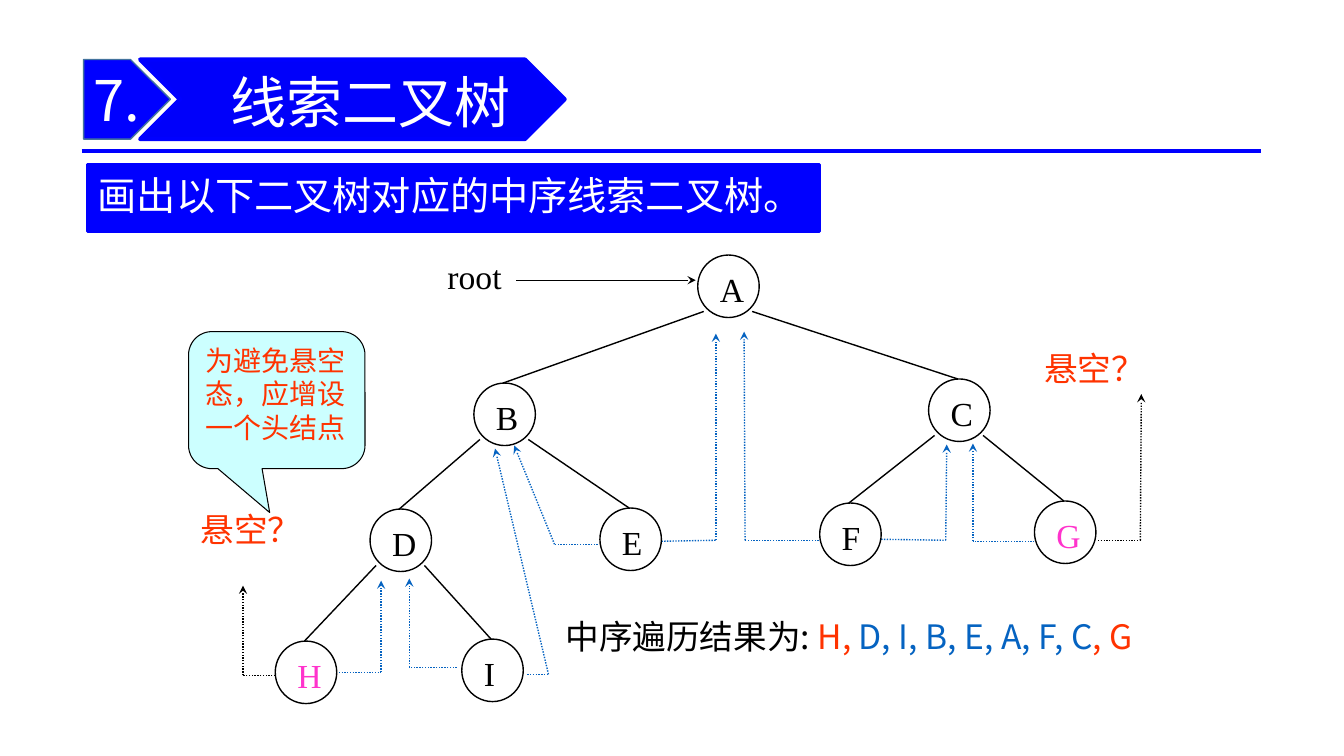
from lxml import etree
from pptx import Presentation
from pptx import util as u
from pptx.dml.color import RGBColor
from pptx.enum import dml, shapes, text
from pptx.oxml import ns

PX = 9144
SANS = "Noto Sans CJK SC"
SERIF = "Times New Roman"
BLUE, BLACK, WHITE = "0000FF", "000000", "FFFFFF"
RED, PINK, THREAD = "FF3300", "FF33CC", "0563C1"
NODE_W, NODE_H = 61, 62
NODES = {
    "A": (492, 53, BLACK), "B": (270, 180, BLACK), "C": (721, 176, BLACK),
    "D": (167, 305, BLACK), "E": (395, 304, BLACK), "F": (613, 299, BLACK),
    "G": (826, 297, PINK), "H": (73, 436, PINK), "I": (258, 434, BLACK),
}
EDGES = ["AB", "AC", "BD", "BE", "CF", "CG", "DH", "DI"]
THREADS = [
    (THREAD, (323, 469), (344, 469), (291, 245)),
    (THREAD, (393, 340), (350, 340), (310, 242)),
    (THREAD, (253, 462), (206, 462), (206, 374)),
    (THREAD, (136, 467), (178, 467), (178, 376)),
    (THREAD, (612, 336), (539, 336), (538, 129)),
    (THREAD, (826, 337), (765, 337), (765, 240)),
    (BLACK, (73, 470), (41, 470), (41, 381)),
    (THREAD, (456, 337), (510, 336), (510, 131)),
    (THREAD, (674, 335), (738, 336), (739, 241)),
    (BLACK, (889, 336), (931, 336), (932, 191)),
]


def px(value):
    return u.Emu(value * PX)


def colour(value):
    return RGBColor.from_string(value)


def set_values(target, values):
    for name, value in values.items():
        setattr(target, name, value)


def place(shape, box):
    set_values(shape, dict(zip(("left", "top", "width", "height"), map(px, box))))


def offset(box, x, y):
    return box[0] + x, box[1] + y


def write(shape, runs, size, font=SANS, frame=None, style=None):
    text_frame = shape.text_frame
    set_values(text_frame, {"word_wrap": True, "auto_size": text.MSO_AUTO_SIZE.NONE, **(frame or {})})
    paragraph = text_frame.paragraphs[0]
    set_values(paragraph, {"alignment": text.PP_ALIGN.LEFT, **(style or {})})
    for words, shade in runs:
        run = paragraph.add_run()
        run.text = words
        set_values(run.font, {"size": u.Pt(size), "name": font, "bold": False})
        run.font.color.rgb = colour(shade)
        properties = run.font._element
        etree.SubElement(properties, ns.qn("a:ea")).set("typeface", font)


def add_label(slide, box, runs, size, **options):
    label = slide.shapes.add_textbox(*map(px, box))
    write(label, runs, size, **options)


def paint(shape, fill, line, width):
    if fill:
        shape.fill.solid()
        shape.fill.fore_color.rgb = colour(fill)
    else:
        shape.fill.background()
    shape.line.color.rgb = colour(line)
    shape.line.width = u.Pt(width)


def add_figure(slide, kind, box, fill, line, width):
    shape = slide.shapes.add_shape(kind, *map(px, box))
    shape.shadow.inherit = False
    paint(shape, fill, line, width)
    return shape


def add_line(slide, start, end, shade=BLACK, width=1, dotted=False, arrow=False):
    line = slide.shapes.add_connector(shapes.MSO_CONNECTOR.STRAIGHT, *map(px, (*start, *end)))
    line.line.color.rgb = colour(shade)
    line.line.width = u.Pt(width)
    if dotted:
        line.line.dash_style = dml.MSO_LINE.ROUND_DOT
    if arrow:
        etree.SubElement(line.line._get_or_add_ln(), ns.qn("a:tailEnd")).set("type", "stealth")
    etree.SubElement(line._element.spPr, ns.qn("a:effectLst"))


def draw_header(slide, box):
    x, y, width, height = box
    middle = text.MSO_ANCHOR.MIDDLE
    number = add_figure(slide, shapes.MSO_SHAPE.PENTAGON, (x + 2, y, 86, 79), BLUE, "43739E", 1)
    write(number, [("7.", WHITE)], 40, frame={"vertical_anchor": middle, "margin_right": 0})
    add_figure(slide, shapes.MSO_SHAPE.CHEVRON, (x + 58, y, 421, 79), "0000FA", BLUE, 3)
    add_label(slide, (x + 101, y - 13, 367, 108), [("线索二叉树", WHITE)], 40,
              frame={"vertical_anchor": middle, "margin_left": px(4), "margin_right": 0},
              style={"alignment": text.PP_ALIGN.CENTER})
    add_line(slide, (x, y + height), (x + width, y + height), BLUE, 3)


def draw_title(slide, box):
    title = slide.shapes.title
    place(title, box)
    paint(title, BLUE, BLUE, 2)
    write(title, [("画出以下二叉树对应的中序线索二叉树。", WHITE)], 28,
          frame={"vertical_anchor": text.MSO_ANCHOR.MIDDLE}, style={"line_spacing": 0.9})


def draw_tree(slide, box):
    for shade, start, corner, tip in THREADS:
        start, corner, tip = (offset(box, *point) for point in (start, corner, tip))
        add_line(slide, start, corner, shade, dotted=True)
        add_line(slide, corner, tip, shade, dotted=True, arrow=True)
    for name, (left, top, shade) in NODES.items():
        x, y = offset(box, left, top)
        add_figure(slide, shapes.MSO_SHAPE.OVAL, (x, y, NODE_W, NODE_H), None, BLACK, 1)
        add_label(slide, (x + 12, y + 9, 48, 51), [(name, shade)], 24, font=SERIF)
    for parent, child in EDGES:
        side = 24 if NODES[child][0] > NODES[parent][0] else -24
        start_x, start_y = offset(box, *NODES[parent][:2])
        end_x, end_y = offset(box, *NODES[child][:2])
        add_line(slide, (start_x + NODE_W // 2 + side, start_y + 56), (end_x + NODE_W // 2 - 1, end_y))
    add_line(slide, offset(box, 312, 78), offset(box, 490, 78), arrow=True)
    add_label(slide, (*offset(box, 234, 49), 84, 51), [("root", BLACK)], 24, font=SERIF)


def draw_notes(slide, box):
    for x, y in ((2, 171), (839, 11)):
        add_label(slide, (*offset(box, x, y), 140, 50), [("悬空？", RED)], 24)
    result = [("中序遍历结果为: ", BLACK), ("H, ", RED), ("D, I, B, E, A, F, C", THREAD), (", G", RED)]
    add_label(slide, (*offset(box, 364, 277), 700, 50), result, 24)
    callout = add_figure(slide, shapes.MSO_SHAPE.ROUNDED_RECTANGULAR_CALLOUT,
                         (*box[:2], 175, 136), "CCFFFF", BLACK, 0.75)
    for index, value in enumerate((-0.04, 0.82, 0.17)):
        callout.adjustments[index] = value
    write(callout, [("为避免悬空态，应增设一个头结点", RED)], 20,
          frame={"vertical_anchor": text.MSO_ANCHOR.TOP})


def main():
    presentation = Presentation()
    set_values(presentation, {"slide_width": px(1333), "slide_height": px(750)})
    slide = presentation.slides.add_slide(presentation.slide_layouts[5])
    draw_header(slide, (81, 59, 1170, 91))
    draw_title(slide, (87, 163, 726, 67))
    draw_tree(slide, (200, 200, 932, 500))
    draw_notes(slide, (187, 329, 1064, 327))
    presentation.save("out.pptx")


if __name__ == "__main__":
    main()
